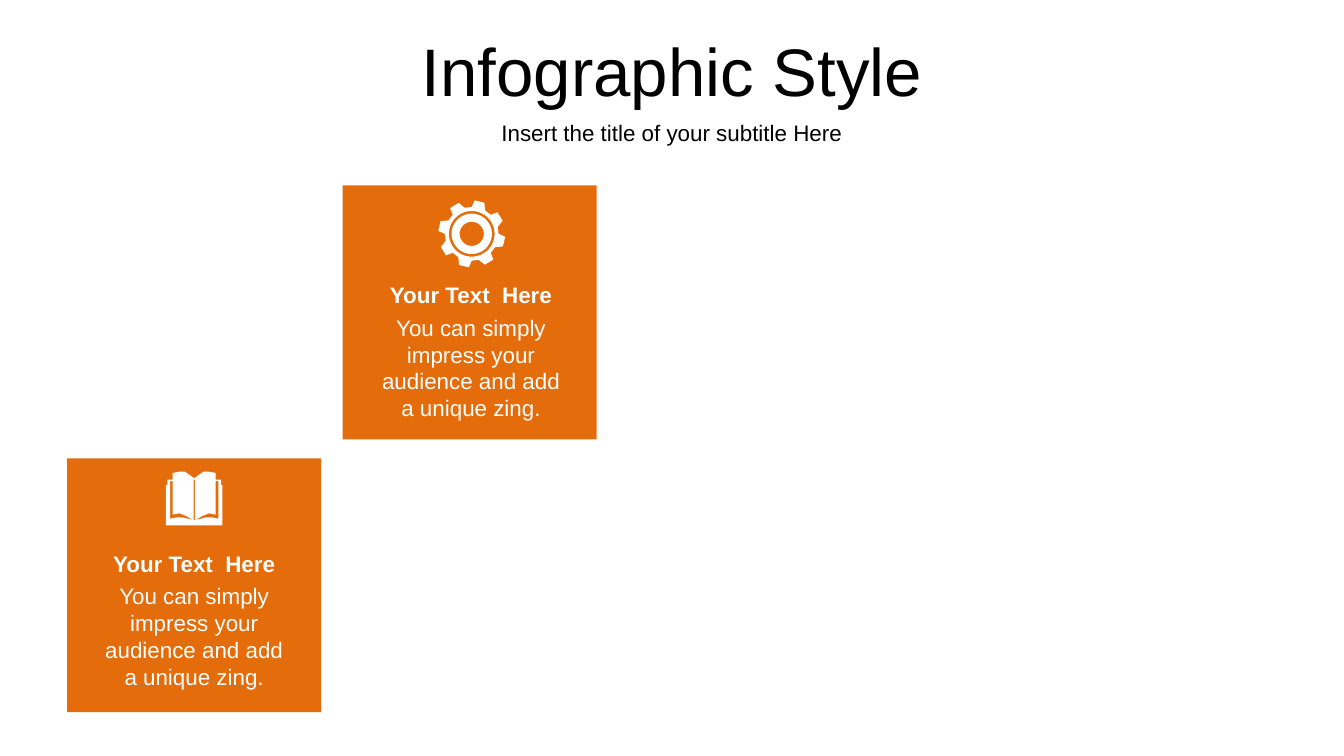
from dataclasses import dataclass
from math import cos, radians, sin

from pptx import Presentation
from pptx.dml.color import RGBColor
from pptx.enum.shapes import MSO_SHAPE as Preset
from pptx.enum.text import MSO_ANCHOR as Anchor, PP_ALIGN as Align
from pptx.util import Inches, Pt

Point = tuple[float, float]
Contour = list[Point]

FONT = "Arial"
BLACK, WHITE, ORANGE = "000000", "FFFFFF", "E46C0A"
CARD_SIZE, TEXT_WIDTH = 1.89, 1.65
HEADING = "Your Text  Here"
BODY = "You can simply impress your audience and add a unique zing."


@dataclass
class Card:
    left: float
    top: float
    text_left: float
    heading_top: float
    icon: list[Contour]


def polar(center: Point, radius: float, degrees: float) -> Point:
    """Point at an angle measured clockwise from straight up."""
    angle = radians(degrees)
    return center[0] + radius * sin(angle), center[1] - radius * cos(angle)


def gear(center: Point) -> list[Contour]:
    tooth = [(0.2, 0), (0.25, 5), (0.25, 22), (0.2, 30)]
    rim = [polar(center, radius, turn + angle)
           for turn in range(0, 360, 45) for radius, angle in tooth]
    rings = [[polar(center, radius, angle) for angle in range(0, 360, 6)]
             for radius in (0.17, 0.15, 0.09)]
    return [rim, *rings]


def book(center_x: float, top: float) -> list[Contour]:
    """Open book, given as offsets of its right half and mirrored."""
    cover = [(0, 0.05), (0.04, 0.02), (0.07, 0), (0.11, 0), (0.16, 0.01),
             (0.16, 0.06), (0.2, 0.06), (0.2, 0.1), (0.21, 0.1), (0.21, 0.4)]
    page_edge = [(0.16, 0.07), (0.18, 0.07), (0.18, 0.35), (0.13, 0.34),
                 (0.09, 0.34), (0.01, 0.36), (0.06, 0.33), (0.11, 0.31),
                 (0.16, 0.32)]
    half_slit = 0.01 / 2
    spine = [(half_slit, 0.06), (half_slit, 0.36)]

    def place(half: Contour, side: int) -> Contour:
        return [(center_x + side * x, top + y) for x, y in half]

    def whole(half: Contour) -> Contour:
        return place(half, 1) + place(half, -1)[::-1]

    return [whole(cover), place(page_edge, 1), place(page_edge, -1), whole(spine)]


def paint(shape, color: str) -> None:
    shape.shadow.inherit = False
    shape.fill.solid()
    shape.fill.fore_color.rgb = RGBColor.from_string(color)
    shape.line.fill.background()


def draw_icon(shapes, contours: list[Contour]) -> None:
    outlines = [[(Inches(x), Inches(y)) for x, y in contour] for contour in contours]
    builder = shapes.build_freeform(*outlines[0][0])
    builder.add_line_segments(outlines[0][1:], close=True)
    for outline in outlines[1:]:
        builder.move_to(*outline[0])
        builder.add_line_segments(outline[1:], close=True)
    paint(builder.convert_to_shape(), WHITE)


def write(shape, text: str, size: float, color: str, bold: bool = False) -> None:
    frame = shape.text_frame
    frame.word_wrap = True
    frame.vertical_anchor = Anchor.MIDDLE
    frame.text = text
    paragraph = frame.paragraphs[0]
    paragraph.alignment = Align.CENTER
    font = paragraph.font
    font.name, font.size, font.bold = FONT, Pt(size), bold
    font.color.rgb = RGBColor.from_string(color)


def add_text(shapes, left: float, top: float, width: float, height: float,
             text: str, color: str, bold: bool = False) -> None:
    box = shapes.add_textbox(Inches(left), Inches(top), Inches(width), Inches(height))
    write(box, text, 12, color, bold)


def draw_card(shapes, card: Card) -> None:
    square = shapes.add_shape(Preset.RECTANGLE, Inches(card.left), Inches(card.top),
                              Inches(CARD_SIZE), Inches(CARD_SIZE))
    paint(square, ORANGE)
    add_text(shapes, card.text_left, card.heading_top + 0.24, TEXT_WIDTH, 0.91,
             BODY, WHITE)
    add_text(shapes, card.text_left, card.heading_top, TEXT_WIDTH, 0.3,
             HEADING, WHITE, bold=True)
    draw_icon(shapes, card.icon)


def main() -> None:
    deck = Presentation()
    deck.slide_width = Inches(10)
    deck.slide_height = deck.slide_width * 9 // 16
    slide = deck.slides.add_slide(deck.slide_layouts[5])
    shapes = slide.shapes

    title = shapes.title
    title.left, title.top = Inches(0), Inches(0.2)
    title.width, title.height = Inches(10), Inches(0.63)
    write(title, "Infographic Style", 36, BLACK)
    add_text(shapes, 0, 0.83, 10, 0.31, "Insert the title of your subtitle Here", BLACK)

    cards = [
        Card(2.55, 1.38, 2.68, 2.04, gear((3.51, 1.74))),
        Card(0.5, 3.41, 0.62, 4.04, book(0.5 + CARD_SIZE / 2, 3.51)),
    ]
    for card in cards:
        draw_card(shapes, card)
    deck.save("out.pptx")


if __name__ == "__main__":
    main()
